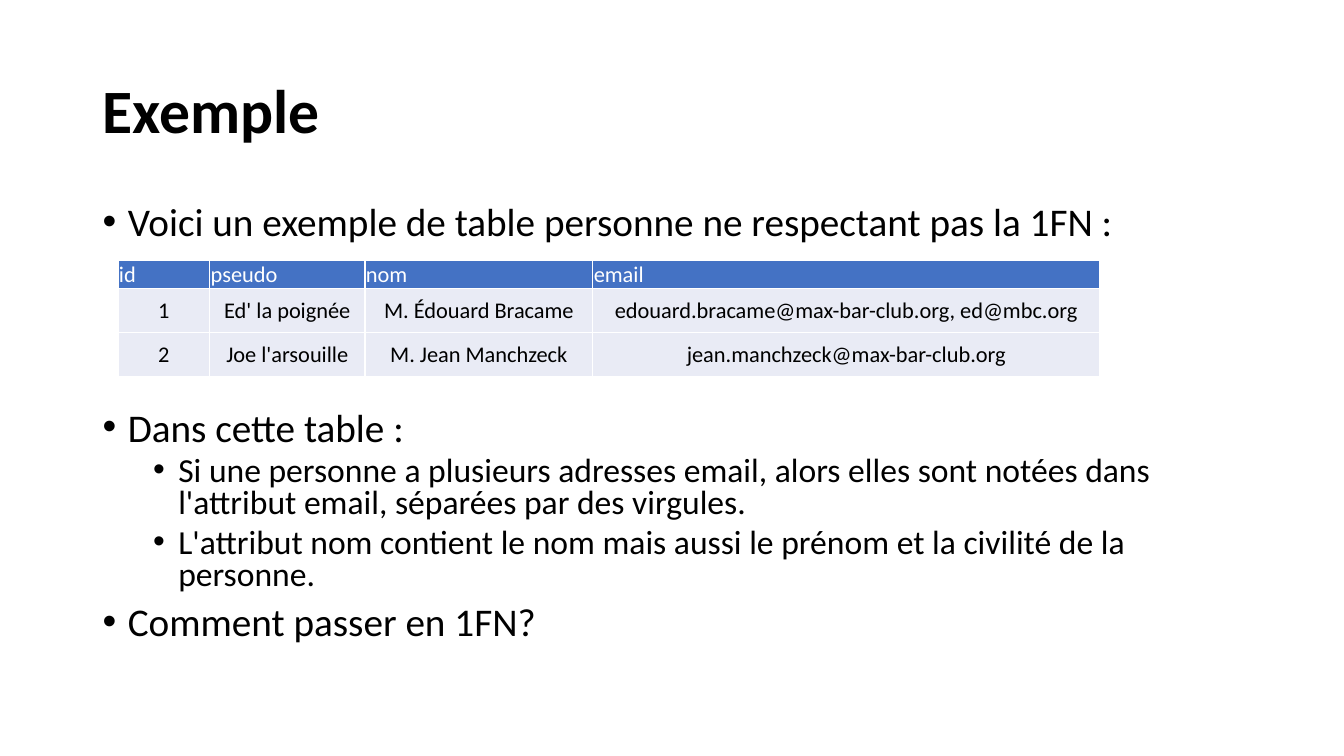
from pptx import Presentation
from pptx.dml.color import RGBColor
from pptx.enum.text import MSO_ANCHOR as Anchor, MSO_AUTO_SIZE as Fit, PP_ALIGN as Align
from pptx.oxml import parse_xml
from pptx.oxml.ns import nsdecls
from pptx.util import Inches, Pt

COLORS = {"text": "000000", "head": "4472C4", "row": "E9EBF5", "white": "FFFFFF"}
FONT = "Calibri"

# level, space before in points, text
BULLETS = [
    (0, 10, "Voici un exemple de table personne ne respectant pas la 1FN :"),
    (0, 120, "Dans cette table :"),
    (1, 5, "Si une personne a plusieurs adresses email, alors elles sont notées "
           "dans l'attribut email, séparées par des virgules."),
    (1, 5, "L'attribut nom contient le nom mais aussi le prénom et la civilité "
           "de la personne."),
    (0, 10, "Comment passer en 1FN?"),
]
SIZES = [28, 24]
INDENTS = [0.25, 0.75]

PEOPLE = [
    ["id", "pseudo", "nom", "email"],
    ["1", "Ed' la poignée", "M. Édouard Bracame",
     "edouard.bracame@max-bar-club.org, ed@mbc.org"],
    ["2", "Joe l'arsouille", "M. Jean Manchzeck", "jean.manchzeck@max-bar-club.org"],
]
WIDTHS = [0.91, 1.54, 2.26, 5.03]
HEIGHTS = [0.28, 0.44, 0.44]


def style(par, size, color="text", bold=False):
    font = par.font
    font.name, font.size, font.bold = FONT, Pt(size), bold
    font.color.rgb = RGBColor.from_string(COLORS[color])


def add_title(slide, text):
    title = slide.shapes.title
    title.left, title.top = Inches(0.92), Inches(0.4)
    title.width, title.height = Inches(11.5), Inches(1.45)
    frame = title.text_frame
    frame.text = text
    frame.auto_size = Fit.NONE
    frame.vertical_anchor = Anchor.MIDDLE
    par = frame.paragraphs[0]
    par.alignment, par.line_spacing = Align.LEFT, 0.9
    style(par, 44, bold=True)


def set_bullet(par, indent):
    props = par._p.get_or_add_pPr()
    props.set("marL", str(Inches(indent)))
    props.set("indent", str(-Inches(0.25)))
    props.append(parse_xml(f'<a:buFont {nsdecls("a")} typeface="Arial"/>'))
    props.append(parse_xml(f'<a:buChar {nsdecls("a")} char="•"/>'))


def add_list(slide, items):
    box = slide.shapes.add_textbox(Inches(0.92), Inches(2), Inches(11.5), Inches(4.76))
    frame = box.text_frame
    frame.word_wrap = True
    for num, (level, gap, text) in enumerate(items):
        par = frame.add_paragraph() if num else frame.paragraphs[0]
        par.text, par.level = text, level
        par.line_spacing, par.space_before = 0.8, Pt(gap)
        style(par, SIZES[level])
        set_bullet(par, INDENTS[level])


def set_borders(cell):
    props = cell._tc.get_or_add_tcPr()
    for pos, side in enumerate(("lnL", "lnR", "lnT", "lnB")):
        props.insert(pos, parse_xml(
            f'<a:{side} {nsdecls("a")} w="{Pt(1)}"><a:solidFill>'
            f'<a:srgbClr val="{COLORS["white"]}"/></a:solidFill></a:{side}>'))


def fill_cell(cell, text, head, tall):
    """Write one cell; tall adds room above and below the text."""
    cell.text = text
    cell.fill.solid()
    cell.fill.fore_color.rgb = RGBColor.from_string(COLORS["head" if head else "row"])
    cell.margin_left = cell.margin_right = Inches(0.01)
    cell.margin_top = Inches(0.08 if tall else 0.01)
    cell.margin_bottom = Inches(0.08 if tall else 0)
    cell.vertical_anchor = Anchor.BOTTOM if head else Anchor.MIDDLE
    par = cell.text_frame.paragraphs[0]
    par.alignment = Align.LEFT if head else Align.CENTER
    style(par, 16, "white" if head else "text")
    set_borders(cell)


def add_grid(slide, rows):
    frame = slide.shapes.add_table(
        len(rows), len(WIDTHS), Inches(1.17), Inches(2.58),
        Inches(sum(WIDTHS)), Inches(sum(HEIGHTS)))
    table = frame.table
    table.first_row = table.horz_banding = False
    for col, width in zip(table.columns, WIDTHS):
        col.width = Inches(width)
    for row, height in zip(table.rows, HEIGHTS):
        row.height = Inches(height)
    for r, row in enumerate(rows):
        for c, text in enumerate(row):
            fill_cell(table.cell(r, c), text, head=r == 0, tall=r > 0 and c == 0)


def main():
    deck = Presentation()
    deck.slide_width, deck.slide_height = Inches(13.33), Inches(7.5)
    slide = deck.slides.add_slide(deck.slide_layouts[5])
    add_title(slide, "Exemple")
    add_list(slide, BULLETS)
    add_grid(slide, PEOPLE)
    deck.save("out.pptx")


if __name__ == "__main__":
    main()
